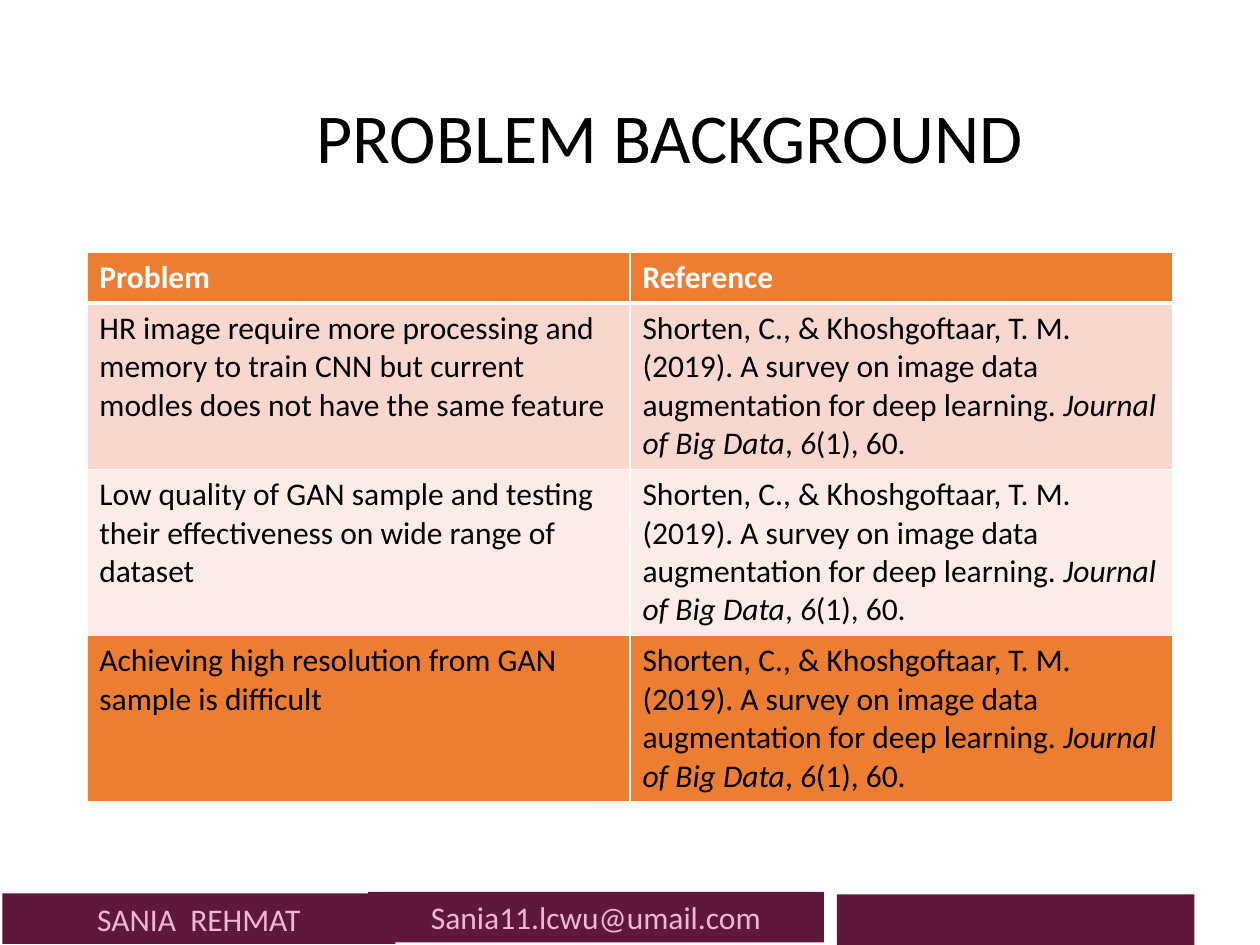
from lxml import etree
from pptx import Presentation
from pptx.dml.color import RGBColor
from pptx.enum.shapes import MSO_SHAPE as Shape
from pptx.enum.text import MSO_ANCHOR as Anchor, PP_ALIGN as Align
from pptx.oxml.ns import qn
from pptx.util import Cm, Pt

ORANGE, ROSE, PALE_ROSE = "ED7D31", "F8D7CE", "FCECE8"
PLUM, PINK = "5F173C", "EEB8D4"
BLACK, WHITE = "000000", "FFFFFF"

# Each cell is a list of (text, italic) runs.
CITATION = [
    ("Shorten, C., & Khoshgoftaar, T. M. (2019). A survey on image data "
     "augmentation for deep learning. ", False),
    ("Journal of Big Data", True),
    (", ", False),
    ("6", True),
    ("(1), 60.", False),
]
PROBLEMS = [
    ("HR image require more processing and memory to train CNN but current "
     "modles does not have the same feature", ROSE),
    ("Low quality of GAN sample and testing their effectiveness on wide "
     "range of dataset", PALE_ROSE),
    ("Achieving high resolution from GAN sample is difficult", ORANGE),
]
FOOTER = [
    (0.05, 18.01, 7.92, "SANIA  REHMAT"),
    (7.42, 17.98, 9.19, "Sania11.lcwu@umail.com"),
    (16.87, 18.03, 7.21, ""),
]


def rgb(hex_color):
    return RGBColor.from_string(hex_color)


class SlideBuilder:
    font = "Calibri"
    body_size = 18

    def __init__(self, slide):
        self.slide = slide

    def add_run(self, paragraph, text, color, size=body_size, bold=False, italic=False):
        run = paragraph.add_run()
        run.text = text
        font = run.font
        font.name, font.size = self.font, Pt(size)
        font.bold, font.italic = bold, italic
        font.color.rgb = rgb(color)

    def title(self, text, left, top, width, height):
        box = self.slide.shapes.add_textbox(Cm(left), Cm(top), Cm(width), Cm(height))
        frame = box.text_frame
        frame.word_wrap = True
        frame.vertical_anchor = Anchor.MIDDLE
        heading = frame.paragraphs[0]
        heading.alignment = Align.CENTER
        heading.line_spacing = 0.9
        self.add_run(heading, text, BLACK, size=40)

    def bar(self, left, top, width, height, text):
        bar = self.slide.shapes.add_shape(
            Shape.RECTANGLE, Cm(left), Cm(top), Cm(width), Cm(height))
        bar.shadow.inherit = False
        bar.fill.solid()
        bar.fill.fore_color.rgb = rgb(PLUM)
        bar.line.fill.background()
        if text:
            frame = bar.text_frame
            frame.word_wrap = True
            frame.vertical_anchor = Anchor.TOP
            label = frame.paragraphs[0]
            label.alignment = Align.CENTER
            self.add_run(label, text, PINK)

    def borders(self, cell, top, bottom):
        """Draw white cell borders; top and bottom widths are in points."""
        properties = cell._tc.get_or_add_tcPr()
        widths = [("a:lnL", 1), ("a:lnR", 1), ("a:lnT", top), ("a:lnB", bottom)]
        for position, (tag, width) in enumerate(widths):
            line = etree.Element(qn(tag), w=str(Pt(width)))
            fill = etree.SubElement(line, qn("a:solidFill"))
            etree.SubElement(fill, qn("a:srgbClr"), val=WHITE)
            properties.insert(position, line)

    def table(self, rows, left, top, width, header_height, row_height):
        """Build a table from (cells, fill) rows, the first being the header."""
        columns = len(rows[0][0])
        height = header_height + row_height * (len(rows) - 1)
        table = self.slide.shapes.add_table(
            len(rows), columns, Cm(left), Cm(top), Cm(width), Cm(height)).table
        for r, (cells, fill) in enumerate(rows):
            header = r == 0
            table.rows[r].height = Cm(header_height if header else row_height)
            for c, runs in enumerate(cells):
                cell = table.cell(r, c)
                cell.fill.solid()
                cell.fill.fore_color.rgb = rgb(fill)
                self.borders(cell, top=3 if r == 1 else 1, bottom=3 if header else 1)
                for text, italic in runs:
                    self.add_run(cell.text_frame.paragraphs[0], text,
                                 WHITE if header else BLACK, bold=header, italic=italic)


def main():
    deck = Presentation()
    deck.slide_width, deck.slide_height = Cm(25.4), Cm(19.05)
    builder = SlideBuilder(deck.slides.add_slide(deck.slide_layouts[6]))

    builder.title("PROBLEM BACKGROUND", 3.35, 0.99, 20.29, 3.71)
    header = ([[("Problem", False)], [("Reference", False)]], ORANGE)
    problems = [([[(problem, False)], CITATION], fill) for problem, fill in PROBLEMS]
    builder.table([header] + problems, 1.75, 5.08, 21.9, 1.03, 3.35)
    for left, top, width, text in FOOTER:
        builder.bar(left, top, width, 1.02, text)

    deck.save("out.pptx")


if __name__ == "__main__":
    main()
